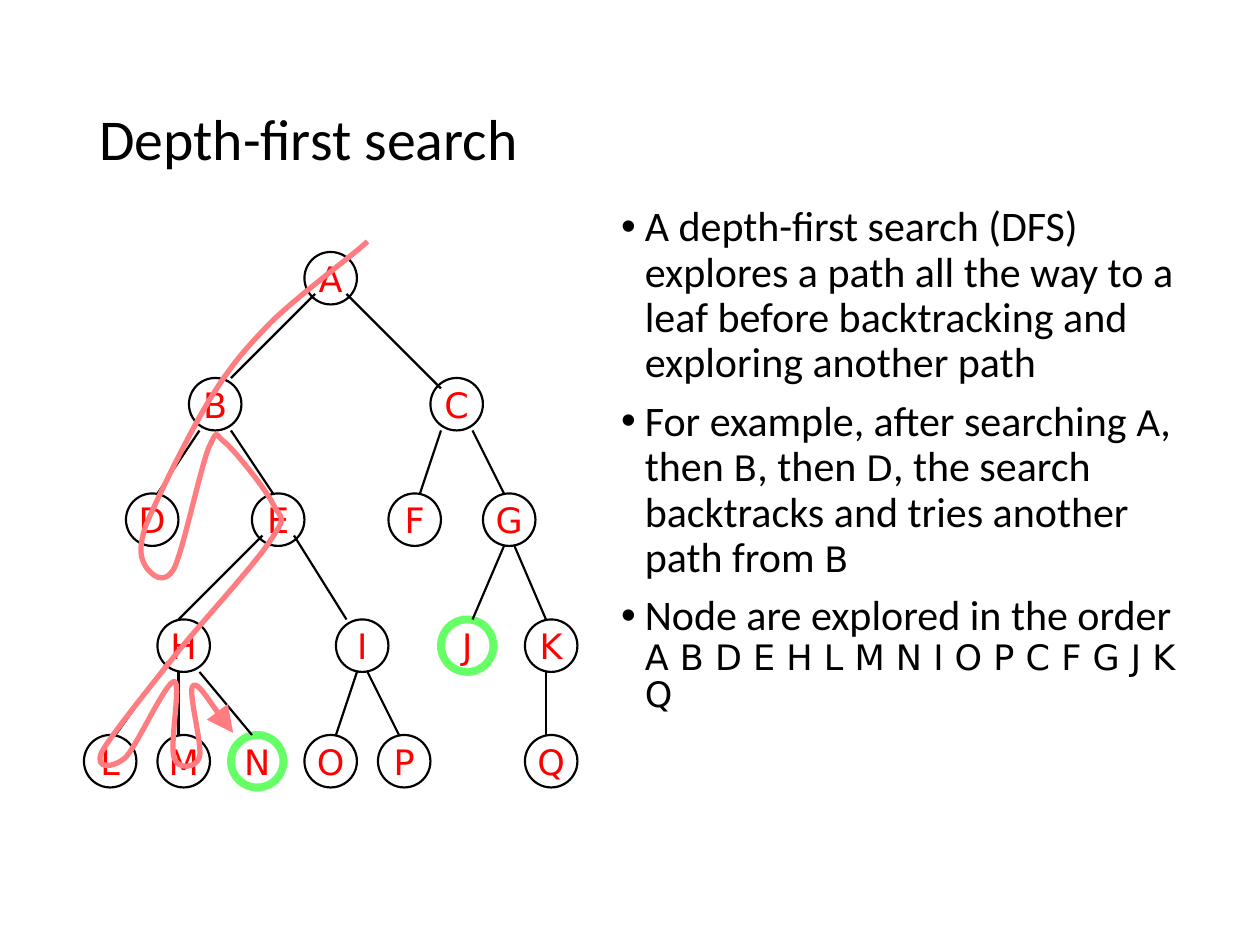
from lxml.etree import SubElement
from pptx import Presentation
from pptx.dml.color import RGBColor
from pptx.enum.shapes import MSO_CONNECTOR, MSO_SHAPE
from pptx.enum.text import MSO_ANCHOR, PP_ALIGN
from pptx.oxml.ns import qn
from pptx.util import Cm, Pt

COLORS = {"text": "000000", "label": "FF0000", "line": "000000",
          "goal": "66FF66", "trail": "FF7C80"}
BODY_FONT, NODE_FONT = "Calibri", "DejaVu Sans"
UNIT = 2.54 / 12
NODE_SIZE = 5
GOALS = "JN"
LEVELS = {
    0: {"A": 21},
    12: {"B": 10, "C": 33},
    23: {"D": 4, "E": 16, "F": 29, "G": 38},
    35: {"H": 7, "I": 24, "J": 34, "K": 42},
    46: {"L": 0, "M": 7, "N": 14, "O": 21, "P": 28, "Q": 42},
}
EDGES = [
    (22, 4, 14, 12), (25, 4, 34, 13),
    (11, 17, 7, 23), (14, 17, 18, 23), (34, 17, 32, 23), (37, 17, 40, 23),
    (17, 27, 9, 35), (20, 27, 25, 35), (40, 28, 37, 35), (41, 28, 44, 35),
    (8, 39, 3, 46), (9, 40, 9, 46), (11, 40, 16, 46),
    (26, 40, 24, 46), (27, 40, 30, 46), (44, 40, 44, 46),
]
TRAIL_START = (27, -1)
TRAIL_CURVES = [
    ((25.5, 0.4), (20.2, 4.3), (17.7, 6.8)),
    ((15.2, 9.4), (14, 10.8), (12, 14)),
    ((10, 17.3), (7, 23.4), (5.9, 26)),
    ((5, 28.7), (5.6, 29.4), (5.9, 30)),
    ((6.4, 30.7), (7.6, 31.9), (8.6, 30.1)),
    ((9.5, 28.2), (11.1, 20.5), (11.9, 18.6)),
    ((12.8, 16.7), (12.4, 17.4), (13.5, 18.2)),
    ((14.6, 19.2), (17.3, 22.6), (18, 24)),
    ((18.8, 25.6), (19.4, 25), (17.8, 27.4)),
    ((16.4, 29.6), (11.7, 34.7), (9, 38)),
    ((6.3, 41.4), (2.6, 46), (1.7, 47.6)),
    ((0.9, 49.3), (2.8, 49.2), (4, 48.1)),
    ((5.1, 46.9), (7.8, 40.9), (8.6, 40.9)),
    ((9.3, 41), (8.1, 47), (8.6, 48.2)),
    ((8.9, 49.3), (10.7, 49.2), (11, 48.1)),
    ((11.3, 46.9), (9.8, 41.6), (10.4, 41.3)),
    ((10.8, 40.9), (13.4, 44.9), (14.2, 45.8)),
]
BULLETS = [
    [("A depth-first search (DFS) explores a path all the way to a leaf "
      "before backtracking and exploring another path", False)],
    [("For example, after searching ", False), ("A", True), (", then ", False),
     ("B", True), (", then ", False), ("D", True),
     (", the search backtracks and tries another path from ", False), ("B", True)],
    [("Node are explored in the order ", False),
     ("A B D E H L M N I O P C F G J K Q", True)],
]


def add_text(p, text, size=24, font=BODY_FONT, color="text"):
    """Add a formatted run to a paragraph."""
    r = p.add_run()
    r.text = text
    r.font.size, r.font.name = Pt(size), font
    r.font.color.rgb = RGBColor.from_string(COLORS[color])


def set_line(sp, color, width):
    """Give a shape or connector a solid line."""
    sp.line.color.rgb = RGBColor.from_string(COLORS[color])
    sp.line.width = Pt(width)


def add_title(s, left, top, width, height):
    """Place and fill the title placeholder."""
    sp = s.shapes.title
    sp.left, sp.top, sp.width, sp.height = Cm(left), Cm(top), Cm(width), Cm(height)
    sp.text_frame.vertical_anchor = MSO_ANCHOR.MIDDLE
    p = sp.text_frame.paragraphs[0]
    p.alignment, p.line_spacing = PP_ALIGN.LEFT, 0.9
    add_text(p, "Depth-first search", size=33)


def add_bullet(p):
    """Give a paragraph a round bullet with a hanging indent."""
    pPr = p._p.get_or_add_pPr()
    indent = Cm(0.48)
    pPr.set("marL", str(indent))
    pPr.set("indent", str(-indent))
    clr = SubElement(pPr, qn("a:buClr"))
    SubElement(clr, qn("a:srgbClr"), val=COLORS["text"])
    SubElement(pPr, qn("a:buFont"), typeface="Arial")
    SubElement(pPr, qn("a:buChar"), char="•")


def add_explanation(s, left, top, width, height):
    """Write the bulleted explanation."""
    tf = s.shapes.add_textbox(Cm(left), Cm(top), Cm(width), Cm(height)).text_frame
    tf.word_wrap = True
    for i, runs in enumerate(BULLETS):
        p = tf.add_paragraph() if i else tf.paragraphs[0]
        p.line_spacing, p.space_before = 0.9, Pt(7.5)
        add_bullet(p)
        for text, is_node in runs:
            if is_node:
                add_text(p, text, size=20, font=NODE_FONT)
            else:
                add_text(p, text)


def add_node(s, name, x, y):
    """Draw one labelled tree node."""
    size = Cm(NODE_SIZE * UNIT)
    sp = s.shapes.add_shape(MSO_SHAPE.OVAL, x, y, size, size)
    sp.shadow.inherit = False
    sp.fill.background()
    if name in GOALS:
        set_line(sp, "goal", 4.5)
    else:
        set_line(sp, "line", 1.25)
    tf = sp.text_frame
    tf.word_wrap, tf.vertical_anchor = False, MSO_ANCHOR.MIDDLE
    p = tf.paragraphs[0]
    p.alignment = PP_ALIGN.CENTER
    add_text(p, name, size=20, font=NODE_FONT, color="label")


def add_trail(s, at):
    """Draw the curved search trail ending in an arrowhead."""
    points = [at(*point) for curve in TRAIL_CURVES for point in curve]
    fb = s.shapes.build_freeform(*at(*TRAIL_START))
    fb.add_line_segments(points, close=False)
    sp = fb.convert_to_shape()
    sp.shadow.inherit = False
    sp.fill.background()
    set_line(sp, "trail", 3)
    ln = sp._element.spPr.find(qn("a:ln"))
    SubElement(ln, qn("a:tailEnd"), type="triangle", w="lg", len="lg")
    outline = next(sp._element.iter(qn("a:moveTo"))).getparent()
    segments = outline.findall(qn("a:lnTo"))
    for i in range(0, len(segments), 3):
        curve = SubElement(outline, qn("a:cubicBezTo"))
        for segment in segments[i:i + 3]:
            curve.append(segment[0])
            outline.remove(segment)


def add_tree(s, left, top):
    """Draw the search tree and its trail from a top-left corner."""
    def at(x, y):
        """Turn tree units into a slide position."""
        return Cm(left + x * UNIT), Cm(top + y * UNIT)

    for y, nodes in LEVELS.items():
        for name, x in nodes.items():
            add_node(s, name, *at(x, y))
    for x1, y1, x2, y2 in EDGES:
        sp = s.shapes.add_connector(MSO_CONNECTOR.STRAIGHT, *at(x1, y1), *at(x2, y2))
        set_line(sp, "line", 1.25)
        SubElement(sp._element.spPr, qn("a:effectLst"))
    add_trail(s, at)


def main():
    """Build and save the slide."""
    prs = Presentation()
    prs.slide_width, prs.slide_height = Cm(25.4), Cm(19.05)
    s = prs.slides.add_slide(prs.slide_layouts[5])
    add_title(s, 1.75, 1.02, 21.92, 3.68)
    add_explanation(s, 12.27, 4.02, 12.07, 13.97)
    add_tree(s, 8 * UNIT, 24 * UNIT)
    prs.save("out.pptx")


if __name__ == "__main__":
    main()
